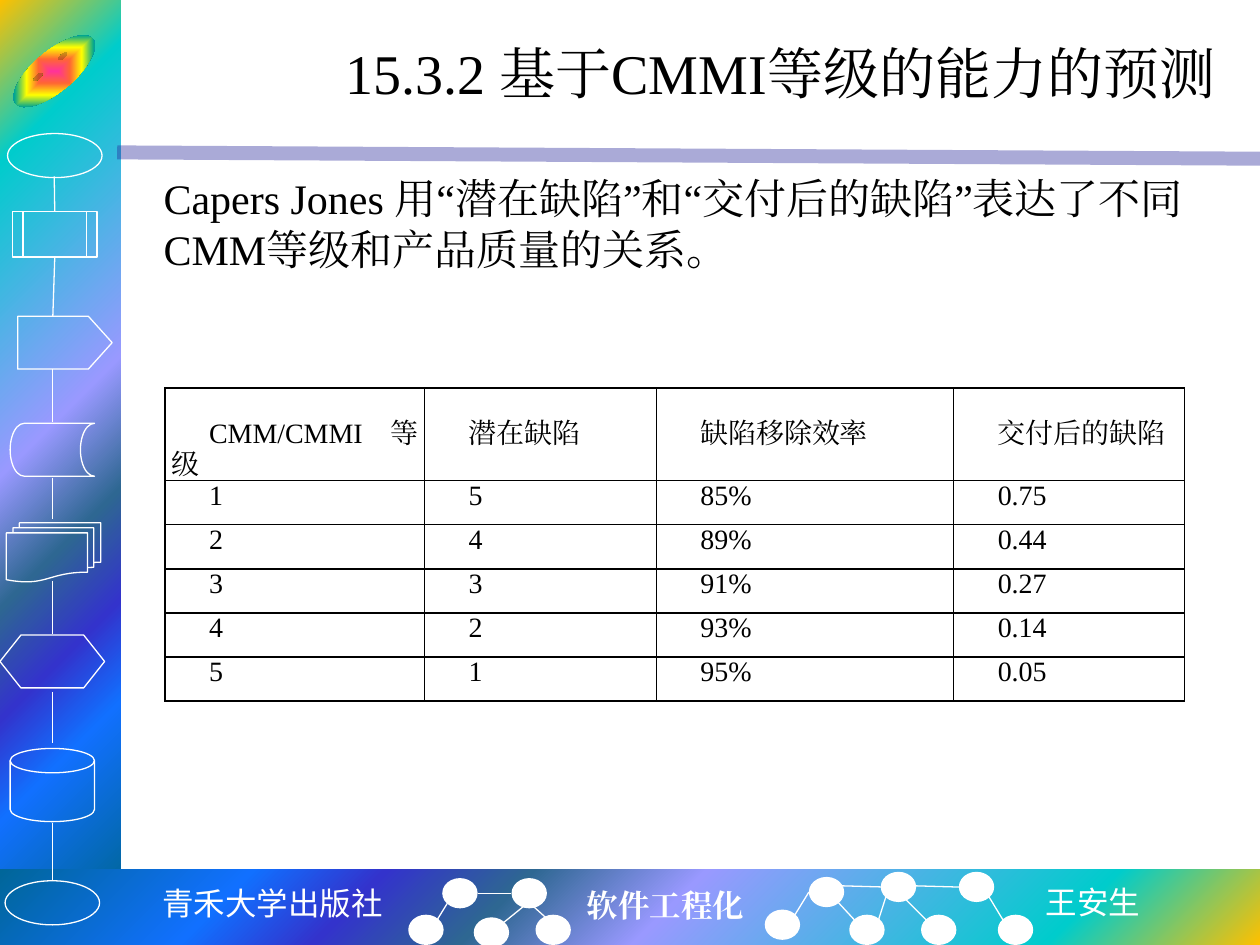
from dataclasses import dataclass
from typing import NamedTuple

import pptx
import pptx.dml.color
import pptx.enum.dml
import pptx.enum.shapes
import pptx.enum.text
import pptx.oxml
import pptx.oxml.ns
import pptx.util
from pptx.util import Pt

SHAPE = pptx.enum.shapes.MSO_SHAPE
ALIGN = pptx.enum.text.PP_ALIGN
ANCHOR = pptx.enum.text.MSO_ANCHOR
NAMESPACE = pptx.oxml.ns.nsdecls("a")


@dataclass(frozen=True)
class Theme:
    ink: str = "000000"
    white: str = "FFFFFF"
    rule: str = "262699"
    serif: str = "Times New Roman"
    mono: str = "Noto Sans Mono"
    sans: str = "Noto Sans CJK SC"
    title_size: int = 32
    body_size: int = 24
    footer_size: int = 18
    table_size: int = 16
    table_leading: float = 17.6
    thin: float = 0.75
    band: tuple = ((0, "FFC000"), (16, "00CCCC"), (47, "9999FF"), (60, "2E6792"),
                   (71, "3333CC"), (81, "1170FF"), (100, "006699"))
    rainbow: tuple = ((0, "FF3399"), (25, "FF6633"), (50, "FFFF00"),
                      (75, "01A78F"), (100, "3366FF"))


class Box(NamedTuple):
    left: float
    top: float
    width: float
    height: float


class Link(NamedTuple):
    x1: float
    y1: float
    x2: float
    y2: float


class Symbol(NamedTuple):
    kind: SHAPE
    box: Box


class Label(NamedTuple):
    text: str
    box: Box
    font: str
    bold: bool = False


THEME = Theme()
AXIS = 30.2
START = Symbol(SHAPE.OVAL, Box(4.3, 76.3, 54, 25.2))
PROCESS = Symbol(SHAPE.FLOWCHART_PREDEFINED_PROCESS, Box(7.2, 121, 48.2, 25.9))
ARROW_TAG = Symbol(SHAPE.PENTAGON, Box(10.1, 180.7, 54, 30.2))
SYMBOLS = [
    START,
    Symbol(SHAPE.FLOWCHART_STORED_DATA, Box(5.8, 241.9, 48.2, 30.2)),
    Symbol(SHAPE.FLOWCHART_MULTIDOCUMENT, Box(3.6, 298.8, 54, 33.8)),
    Symbol(SHAPE.FLOWCHART_PREPARATION, Box(0, 362.9, 59.8, 30.2)),
    Symbol(SHAPE.FLOWCHART_MAGNETIC_DISK, Box(5.8, 427.7, 48.2, 41.8)),
    Symbol(SHAPE.OVAL, Box(2.9, 503.3, 54, 25.2)),
]
FLOW_GAPS = [(211, 241.2), (272.9, 296.6), (331.9, 362.2), (395.3, 424.8), (470.2, 503.3)]
NODES = [(252.7, 501.8), (292.3, 501.8), (233.3, 522.7), (270.7, 524.2), (306, 522.7),
         (462.2, 501.1), (503.3, 498.2), (547.9, 498.2), (437, 519.8), (485.3, 522.7),
         (526.3, 522.7), (570.2, 522.7)]
EDGES = [
    Link(249.8, 525.6, 255.6, 516.2), Link(288, 527, 299.5, 517.7),
    Link(292.3, 510.5, 272.9, 510.5), Link(312.5, 524.9, 305.3, 518.4),
    Link(488.2, 525.6, 478.8, 515.5), Link(529.2, 525.6, 514.8, 511.2),
    Link(573.1, 525.6, 565.2, 512.6), Link(501.8, 526.3, 506.2, 512.6),
    Link(522.7, 506.2, 547.9, 506.9), Link(454.3, 522.7, 462.2, 509.8),
    Link(481, 506.2, 506.2, 506.9),
]
LABELS = [
    Label("青禾大学出版社", Box(85.7, 501.8, 141.8, 28.8), THEME.mono),
    Label("软件工程化", Box(328.3, 502.6, 105.1, 28.8), THEME.serif, True),
    Label("王安生", Box(590.4, 501.1, 69.1, 28.8), THEME.sans),
]
COLUMNS = [148.3, 132.5, 169.9, 131.8]
ROWS = [
    ["CMM/CMMI等级", "潜在缺陷", "缺陷移除效率", "交付后的缺陷"],
    ["1", "5", "85%", "0.75"],
    ["2", "4", "89%", "0.44"],
    ["3", "3", "91%", "0.27"],
    ["4", "2", "93%", "0.14"],
    ["5", "1", "95%", "0.05"],
]


def rgb(color: str):
    return pptx.dml.color.RGBColor.from_string(color)


def points(values) -> list:
    return [Pt(value) for value in values]


def format_text(para, size: float, color: str, font: str, bold: bool = False) -> None:
    for span in para.runs:
        span.font.size, span.font.name, span.font.bold = Pt(size), font, bold
        span.font.color.rgb = rgb(color)
        east_asian = pptx.oxml.parse_xml(f'<a:ea {NAMESPACE} typeface="{font}"/>')
        span.font._element.find(pptx.oxml.ns.qn("a:latin")).addnext(east_asian)


def add_symbol(slide, symbol: Symbol, fill: str = "", line: str = ""):
    shape = slide.shapes.add_shape(symbol.kind, *points(symbol.box))
    shape.shadow.inherit = False
    shape.fill.background()
    if fill:
        shape.fill.solid()
        shape.fill.fore_color.rgb = rgb(fill)
    shape.line.fill.background()
    if line:
        shape.line.color.rgb = rgb(line)
        shape.line.width = Pt(THEME.thin)
    return shape


def set_radial_fill(shape, stops: tuple, path: str, focus: tuple) -> None:
    """Fill with a gradient spreading from the focus, given as l, t, r, b percentages."""
    stop_xml = "".join(f'<a:gs pos="{place * 1000}"><a:srgbClr val="{color}"/></a:gs>'
                       for place, color in stops)
    sides = " ".join(f'{side}="{value * 1000}"' for side, value in zip("ltrb", focus))
    gradient = pptx.oxml.parse_xml(
        f'<a:gradFill {NAMESPACE} rotWithShape="1"><a:gsLst>{stop_xml}</a:gsLst>'
        f'<a:path path="{path}"><a:fillToRect {sides}/></a:path></a:gradFill>')
    properties = shape._element.spPr
    properties.replace(properties.find(pptx.oxml.ns.qn("a:noFill")), gradient)


def add_link(slide, link: Link, color: str = THEME.white, width: float = THEME.thin):
    connector = slide.shapes.add_connector(
        pptx.enum.shapes.MSO_CONNECTOR.STRAIGHT, *points(link))
    connector.line.color.rgb = rgb(color)
    connector.line.width = Pt(width)
    connector._element.spPr.append(pptx.oxml.parse_xml(f"<a:effectLst {NAMESPACE}/>"))
    return connector


def draw_background(slide) -> None:
    sidebar = add_symbol(slide, Symbol(SHAPE.RECTANGLE, Box(0, 0, 69.1, 510.5)))
    set_radial_fill(sidebar, THEME.band, "circle", (0, 0, 100, 100))
    footer = add_symbol(slide, Symbol(SHAPE.RECTANGLE, Box(0, 496.8, 720, 43.2)))
    set_radial_fill(footer, THEME.band, "circle", (100, 100, 0, 0))
    rule = add_link(slide, Link(67, 87.1, 720, 90.7), THEME.rule, 8)
    color = rule._element.spPr.find(".//" + pptx.oxml.ns.qn("a:srgbClr"))
    color.append(pptx.oxml.parse_xml(f'<a:alpha {NAMESPACE} val="39000"/>'))


def draw_flowchart(slide) -> None:
    face = add_symbol(slide, Symbol(SHAPE.SMILEY_FACE, Box(2.2, 29.2, 57.6, 23)))
    face.rotation = -40
    face.adjustments[0] = 0.047
    set_radial_fill(face, THEME.rainbow, "shape", (50, 50, 50, 50))
    for symbol in SYMBOLS:
        add_symbol(slide, symbol, line=THEME.white)
    add_symbol(slide, ARROW_TAG, line=THEME.white).adjustments[0] = 0.45
    process = add_symbol(slide, PROCESS, line=THEME.white)
    add_link(slide, Link(31, 100.8, 31, 121)).end_connect(process, 0)
    add_link(slide, Link(31, 147.6, AXIS, 180.7)).begin_connect(process, 2)
    for top, bottom in FLOW_GAPS:
        add_link(slide, Link(AXIS, top, AXIS, bottom))


def draw_footer(slide) -> None:
    for left, top in NODES:
        add_symbol(slide, Symbol(SHAPE.OVAL, Box(left, top, 20.2, 17.3)), fill=THEME.white)
    for edge in EDGES:
        add_link(slide, edge)
    for label in LABELS:
        frame = slide.shapes.add_textbox(*points(label.box)).text_frame
        frame.word_wrap = False
        frame.text = label.text
        format_text(frame.paragraphs[0], THEME.footer_size, THEME.white, label.font, label.bold)


def draw_text(slide) -> None:
    title = slide.shapes.title
    title.left, title.top, title.width, title.height = points(Box(90, 12.2, 612, 58.3))
    title.text_frame.text = "15.3.2 基于CMMI等级的能力的预测"
    title.text_frame.vertical_anchor = ANCHOR.MIDDLE
    heading = title.text_frame.paragraphs[0]
    heading.alignment = ALIGN.RIGHT
    format_text(heading, THEME.title_size, THEME.ink, THEME.serif)
    frame = slide.shapes.add_textbox(*points(Box(86.4, 95, 619.2, 65.5))).text_frame
    frame.word_wrap = True
    frame.text = "Capers Jones 用“潜在缺陷”和“交付后的缺陷”表达了不同CMM等级和产品质量的关系。"
    frame.paragraphs[0].line_spacing = Pt(29)
    format_text(frame.paragraphs[0], THEME.body_size, THEME.ink, THEME.serif)


def fill_cell(cell, text: str, top: float) -> None:
    cell.margin_left = cell.margin_right = Pt(3.6)
    cell.margin_top, cell.margin_bottom = Pt(top), Pt(0)
    cell.text_frame.text = text
    para = cell.text_frame.paragraphs[0]
    para.alignment = ALIGN.JUSTIFY
    para.line_spacing = Pt(THEME.table_leading)
    para._p.get_or_add_pPr().set("indent", str(Pt(21.6)))
    format_text(para, THEME.table_size, THEME.ink, THEME.serif)
    properties = cell._tc.get_or_add_tcPr()
    for side in "LRTB":
        properties.append(pptx.oxml.parse_xml(
            f'<a:ln{side} {NAMESPACE} w="{Pt(1)}"><a:solidFill>'
            f'<a:srgbClr val="{THEME.ink}"/></a:solidFill></a:ln{side}>'))
    cell.fill.background()


def draw_table(slide) -> None:
    heights = [52.8] + [25.2] * (len(ROWS) - 1)
    box = Box(94.3, 221.8, sum(COLUMNS), sum(heights))
    table = slide.shapes.add_table(len(ROWS), len(COLUMNS), *points(box)).table
    table.first_row = table.horz_banding = False
    for column, width in zip(table.columns, COLUMNS):
        column.width = Pt(width)
    for index, (row, height) in enumerate(zip(table.rows, heights)):
        row.height = Pt(height)
        for cell, text in zip(row.cells, ROWS[index]):
            fill_cell(cell, text, THEME.table_leading if index == 0 else 0)


def main() -> None:
    deck = pptx.Presentation()
    deck.slide_width, deck.slide_height = Pt(720), Pt(540)
    slide = deck.slides.add_slide(deck.slide_layouts[5])
    for draw in (draw_background, draw_flowchart, draw_footer, draw_text, draw_table):
        draw(slide)
    deck.save("out.pptx")


if __name__ == "__main__":
    main()
